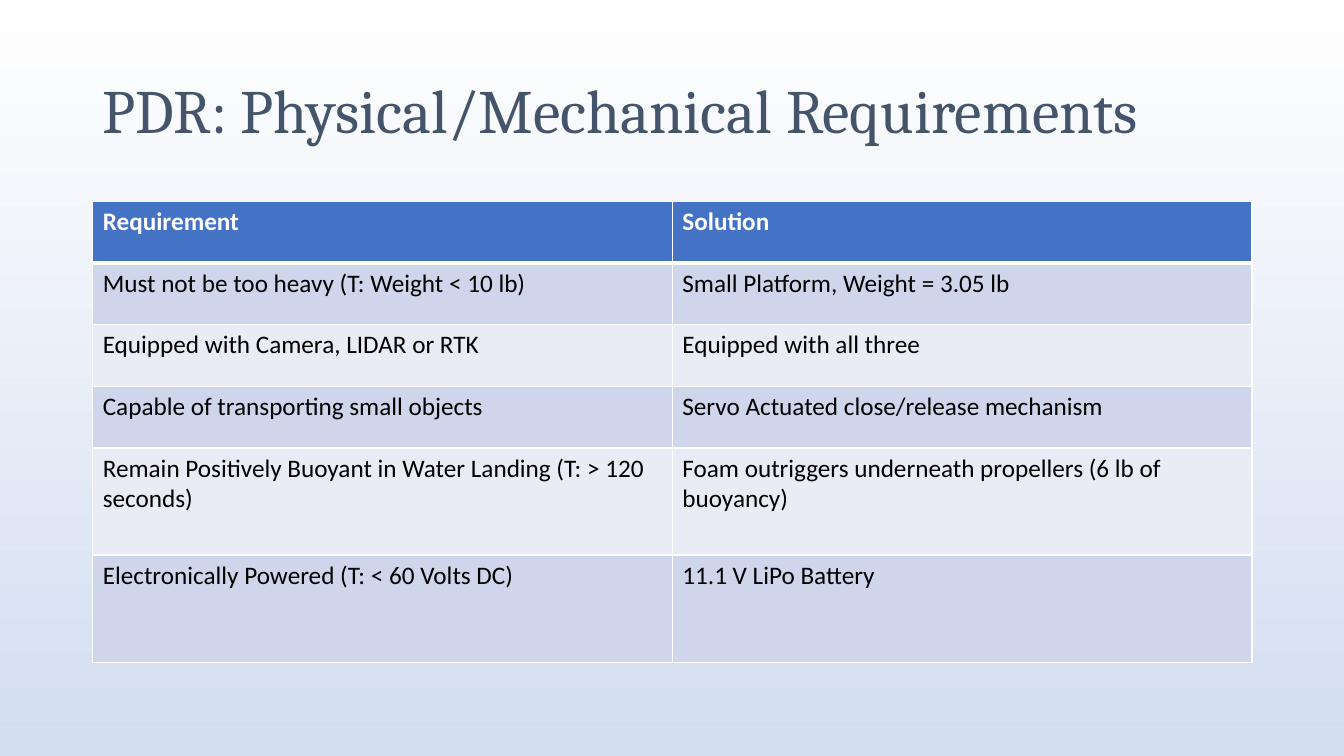
"""Build the physical and mechanical requirements slide."""
from dataclasses import dataclass

from lxml import etree
from pptx import Presentation
from pptx.dml.color import RGBColor
from pptx.enum.text import MSO_ANCHOR
from pptx.oxml.ns import qn
from pptx.util import Pt

MIDDLE = MSO_ANCHOR.MIDDLE
COLORS = {
    "top": "FFFFFF",
    "bottom": "D3DEF1",
    "title": "44546A",
    "header": "4472C4",
    "odd": "CFD5EA",
    "even": "E9EBF5",
    "border": "FFFFFF",
    "light": "FFFFFF",
    "dark": "000000",
}
LEFT, WIDTH = 66.24, 828


@dataclass
class Row:
    requirement: str
    solution: str
    height: float = 44


ROWS = [
    Row("Requirement", "Solution"),
    Row("Must not be too heavy (T: Weight < 10 lb)", "Small Platform, Weight = 3.05 lb"),
    Row("Equipped with Camera, LIDAR or RTK", "Equipped with all three"),
    Row("Capable of transporting small objects", "Servo Actuated close/release mechanism"),
    Row("Remain Positively Buoyant in Water Landing (T: > 120 seconds)",
        "Foam outriggers underneath propellers (6 lb of buoyancy)", 76.5),
    Row("Electronically Powered (T: < 60 Volts DC)", "11.1 V LiPo Battery", 76.5),
]


def rgb(name: str) -> RGBColor:
    return RGBColor.from_string(COLORS[name])


def write(tf, text: str, *, size: float, color: str, font: str = "Calibri",
          bold: bool = False, spacing: float = 1.0) -> None:
    p = tf.paragraphs[0]
    p.line_spacing = spacing
    r = p.add_run()
    r.text = text
    r.font.name = font
    r.font.size = Pt(size)
    r.font.bold = bold
    r.font.color.rgb = rgb(color)


def set_borders(cell, top: float, bottom: float) -> None:
    tc_pr = cell._tc.get_or_add_tcPr()
    widths = {"lnL": 1, "lnR": 1, "lnT": top, "lnB": bottom}
    for i, (tag, width) in enumerate(widths.items()):
        ln = etree.Element(qn(f"a:{tag}"), w=str(Pt(width)))
        fill = etree.SubElement(ln, qn("a:solidFill"))
        etree.SubElement(fill, qn("a:srgbClr"), val=COLORS["border"])
        tc_pr.insert(i, ln)


def add_background(s) -> None:
    fill = s.background.fill
    fill.gradient()
    fill.gradient_angle = 270
    for stop, name in zip(fill.gradient_stops, ("top", "bottom")):
        stop.color.rgb = rgb(name)


def add_title(s, text: str) -> None:
    tf = s.shapes.add_textbox(Pt(LEFT), Pt(28.75), Pt(WIDTH), Pt(104.4)).text_frame
    tf.word_wrap = True
    tf.vertical_anchor = MIDDLE
    write(tf, text, size=44, color="title", font="Cambria", spacing=0.9)


def add_requirements(s, rows: list[Row]) -> None:
    height = sum(row.height for row in rows)
    table = s.shapes.add_table(len(rows), 2, Pt(LEFT), Pt(144), Pt(WIDTH), Pt(height)).table
    for i, row in enumerate(rows):
        table.rows[i].height = Pt(row.height)
        header = i == 0
        band = "header" if header else "odd" if i % 2 else "even"
        for j, text in enumerate((row.requirement, row.solution)):
            cell = table.cell(i, j)
            cell.fill.solid()
            cell.fill.fore_color.rgb = rgb(band)
            set_borders(cell, top=3 if i == 1 else 1, bottom=3 if header else 1)
            write(cell.text_frame, text, size=18, bold=header,
                  color="light" if header else "dark")


def main() -> None:
    prs = Presentation()
    prs.slide_width, prs.slide_height = Pt(960), Pt(540)
    s = prs.slides.add_slide(prs.slide_layouts[6])
    add_background(s)
    add_title(s, "PDR: Physical/Mechanical Requirements")
    add_requirements(s, ROWS)
    prs.save("out.pptx")


if __name__ == "__main__":
    main()
